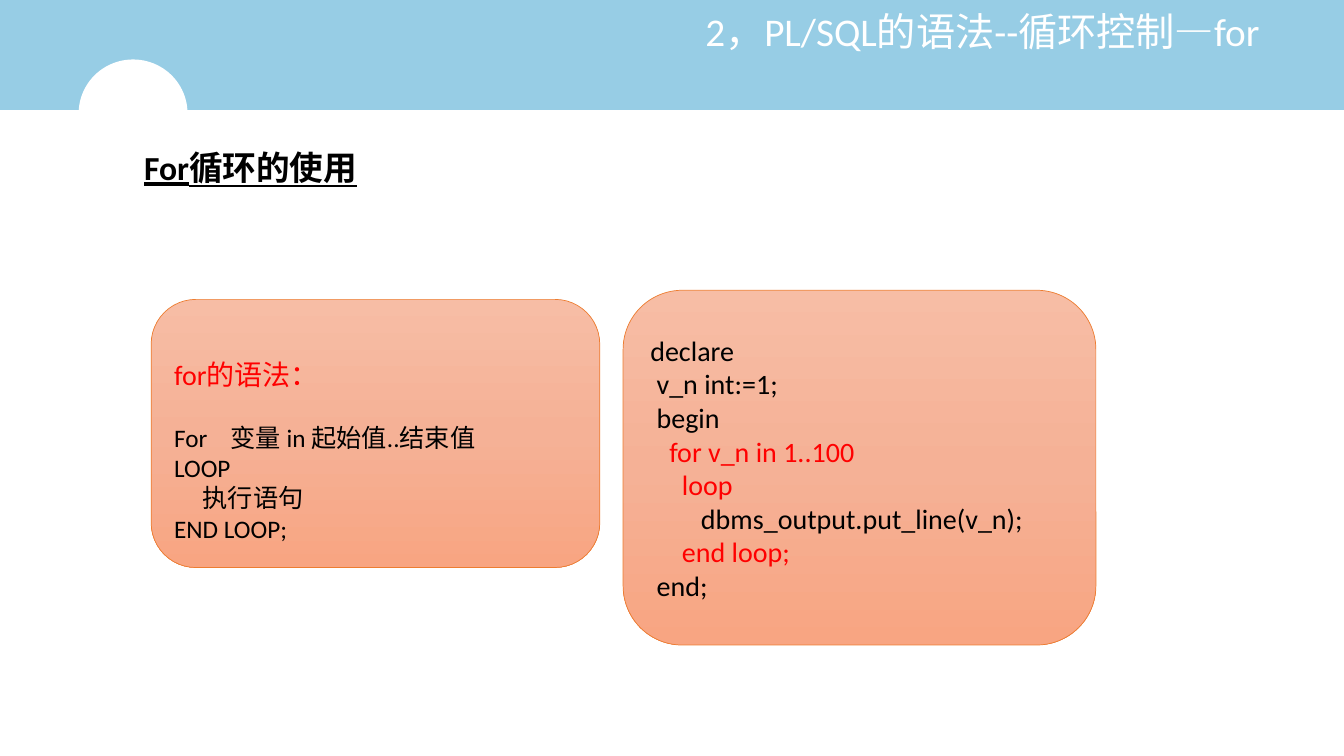
from copy import deepcopy
from dataclasses import dataclass

from lxml import etree
from pptx import Presentation, util as u
from pptx.dml.color import RGBColor
from pptx.enum import shapes, text
from pptx.oxml.ns import qn

BLACK, RED, WHITE, SKY, ORANGE = "000000", "FF0000", "FFFFFF", "97CDE5", "ED7D31"
CARD_STOPS = [(0, "F7BDA5"), (0.5, "F5B196"), (1, "F8A582")]
SPACE_EM = 0.226  # width of one Calibri space


@dataclass
class Box:
    """A rectangle in percent of the slide's width and height."""
    left: float
    top: float
    width: float
    height: float


@dataclass
class Line:
    """One paragraph: indent counts spaces, before is in points, tab in inches."""
    content: str
    size: int = 20
    color: str = BLACK
    indent: int = 0
    before: float = 0
    tab: float = 0


@dataclass
class Card:
    """A rounded panel with its lines and text frame settings."""
    box: Box
    lines: list[Line]
    frame: dict


def rgb(value: str) -> RGBColor:
    """Turn a hex string into a colour."""
    return RGBColor.from_string(value)


def place(box: Box) -> tuple[int, int, int, int]:
    """Convert percent shares to slide lengths."""
    w, h = prs.slide_width / 100, prs.slide_height / 100
    return int(box.left * w), int(box.top * h), int(box.width * w), int(box.height * h)


def apply(target: object, values: dict) -> None:
    """Set every attribute named in values."""
    for name, value in values.items():
        setattr(target, name, value)


def add_lines(tf, lines: list[Line], frame: dict, para: dict, font: dict) -> None:
    """Fill a text frame with formatted paragraphs."""
    apply(tf, frame)
    for i, line in enumerate(lines):
        p = tf.add_paragraph() if i else tf.paragraphs[0]
        apply(p, {"alignment": text.PP_ALIGN.LEFT, "space_before": u.Pt(line.before), **para})
        pPr = p._p.get_or_add_pPr()
        if line.indent:
            pPr.set("marL", str(u.Pt(line.indent * SPACE_EM * line.size)))
            pPr.set("indent", "0")
        if line.tab:
            tabs = etree.SubElement(pPr, qn("a:tabLst"))
            etree.SubElement(tabs, qn("a:tab"), pos=str(u.Inches(line.tab)), algn="l")
        r = p.add_run()
        r.text = line.content
        apply(r.font, {"name": "Calibri", "size": u.Pt(line.size), **font})
        r.font.color.rgb = rgb(line.color)


def add_solid(kind: shapes.MSO_SHAPE, box: Box, color: str) -> None:
    """Draw a plain filled shape without an outline."""
    sp = s.shapes.add_shape(kind, *place(box))
    sp.shadow.inherit = False
    sp.fill.solid()
    sp.fill.fore_color.rgb = rgb(color)
    sp.line.fill.background()


def add_label(box: Box, line: Line, frame: dict, para: dict, font: dict) -> None:
    """Draw a one-line text box."""
    tf = s.shapes.add_textbox(*place(box)).text_frame
    add_lines(tf, [line], frame, para, font)


def add_card(card: Card) -> None:
    """Draw a rounded panel with a vertical gradient and its text."""
    sp = s.shapes.add_shape(shapes.MSO_SHAPE.ROUNDED_RECTANGLE, *place(card.box))
    sp.shadow.inherit = False
    sp.fill.gradient()
    sp.fill.gradient_angle = 270
    first = sp._element.spPr.find(".//" + qn("a:gs"))
    first.addnext(deepcopy(first))
    for stop, (position, color) in zip(sp.fill.gradient_stops, CARD_STOPS):
        stop.position = position
        stop.color.rgb = rgb(color)
    sp.line.color.rgb = rgb(ORANGE)
    sp.line.width = u.Pt(0.5)
    add_lines(sp.text_frame, card.lines, {"word_wrap": True, **card.frame}, {}, {})


CARDS = [
    Card(Box(11.25, 39.6, 33.38, 35.47), [
        Line("for的语法：", color=RED),
        Line("For\t变量 in 起始值..结束值", 18, before=22, tab=0.56),
        Line("LOOP", 18),
        Line("执行语句", 18, indent=5),
        Line("END LOOP;", 18),
    ], {"vertical_anchor": text.MSO_ANCHOR.TOP, "margin_top": u.Inches(0.45)}),
    Card(Box(46.36, 38.4, 35.18, 46.93), [
        Line("declare"),
        Line("v_n int:=1;", indent=1),
        Line("begin", indent=1),
        Line("for v_n in 1..100", color=RED, indent=3),
        Line("loop", color=RED, indent=5),
        Line("dbms_output.put_line(v_n);", indent=8),
        Line("end loop;", color=RED, indent=5),
        Line("end;", indent=1),
    ], {"vertical_anchor": text.MSO_ANCHOR.MIDDLE}),
]

prs = Presentation()
prs.slide_width, prs.slide_height = u.Inches(13.33), u.Inches(7.5)
s = prs.slides.add_slide(prs.slide_layouts[6])

add_solid(shapes.MSO_SHAPE.RECTANGLE, Box(0, 0, 100, 14.53), SKY)
add_solid(shapes.MSO_SHAPE.OVAL, Box(5.85, 7.87, 8.1, 14.27), WHITE)
add_label(Box(41.56, 0.13, 52.89, 14.8), Line("2，PL/SQL的语法--循环控制—for", 28, WHITE),
          {"word_wrap": True, "margin_top": u.Inches(0.12)},
          {"alignment": text.PP_ALIGN.RIGHT, "line_spacing": 0.9}, {})
add_label(Box(9.98, 18.8, 18.3, 6.67), Line("For循环的使用", 24),
          {"word_wrap": False}, {}, {"bold": True, "underline": True})
for card in CARDS:
    add_card(card)

prs.save("out.pptx")
